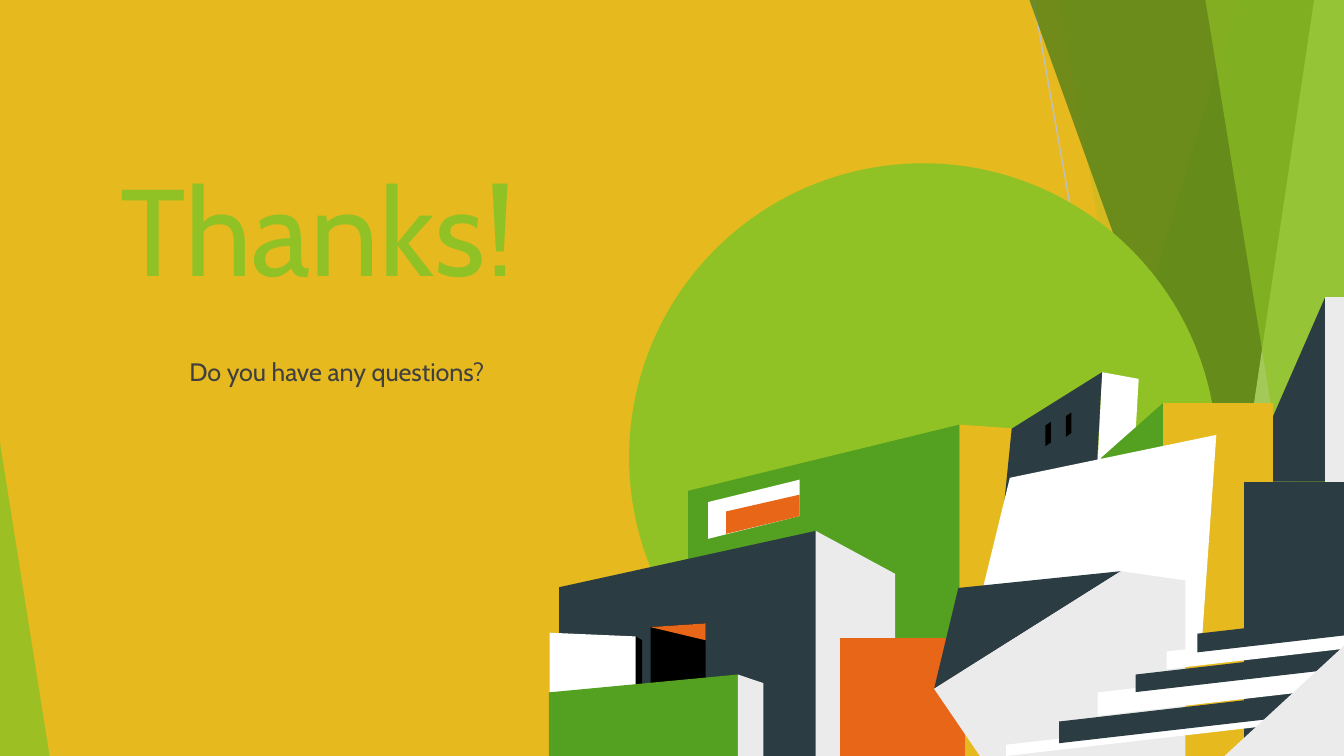
from dataclasses import dataclass

import pptx
import pptx.dml.color
import pptx.enum.shapes
import pptx.enum.text
import pptx.oxml.ns
import pptx.util
from lxml import etree

Pt = pptx.util.Pt
RGBColor = pptx.dml.color.RGBColor
qn = pptx.oxml.ns.qn

WIDTH, HEIGHT = 720, 405
FONT = "Cabin"
GOLD = RGBColor.from_string("E6B91E")
LIME = RGBColor.from_string("90C226")
PALE_LIME = RGBColor.from_string("C0E474")
GREEN = RGBColor.from_string("54A021")
FOREST = RGBColor.from_string("3F7819")
SLATE = RGBColor.from_string("2C3C43")
ORANGE = RGBColor.from_string("E76618")
WHITE = RGBColor.from_string("FFFFFF")
LIGHT_GREY = RGBColor.from_string("EBEBEB")
RAY_GREY = RGBColor.from_string("BFBFBF")
RAY_PALE = RGBColor.from_string("D9D9D9")
BLACK = RGBColor.from_string("000000")
INK = RGBColor.from_string("404040")
STEP_SLOPE = 0.115


@dataclass(frozen=True)
class Beam:
    """Band from the top edge to the bottom edge, closed by the right edge."""
    color: RGBColor
    opacity: int
    top_x: float
    bottom_x: float


@dataclass(frozen=True)
class Wedge:
    """Right-angled triangle that stands on the bottom edge."""
    color: RGBColor
    opacity: int
    left: float
    right: float
    top: float
    apex: int


@dataclass(frozen=True)
class Wall:
    """Face with upright sides; it reaches the bottom edge by default."""
    color: RGBColor
    left: float
    right: float
    top_left: float
    top_right: float
    bottom_left: float = HEIGHT
    bottom_right: float = HEIGHT

    @property
    def corners(self) -> tuple:
        return ((self.left, self.top_left), (self.right, self.top_right),
                (self.right, self.bottom_right), (self.left, self.bottom_left))


@dataclass(frozen=True)
class Facet:
    """Face with leaning sides."""
    color: RGBColor
    corners: tuple


@dataclass(frozen=True)
class Step:
    color: RGBColor
    left: float
    top: float
    height: float


BACKDROP = [
    Beam(LIME, 30, 663, 542),
    Beam(LIME, 20, 567.4, 638.6),
    Wedge(GREEN, 72, 528, WIDTH, 180, 1),
    Beam(FOREST, 70, 551.5, 697),
    Beam(PALE_LIME, 70, 704, 643.7),
    Beam(LIME, 65, 645.8, 711.4),
    Wedge(LIME, 80, 612.7, WIDTH, 211.7, 1),
    Wedge(LIME, 85, 0, 26.6, 237, 0),
]

CITY = [
    # Green block with its gold side
    Wall(GOLD, 514, 563, 227.5, 231),
    Wall(GREEN, 368.6, 514, 263, 227.5),
    # Slate block, its doorway and the low front blocks
    Wall(SLATE, 299.5, 437, 314.6, 284.4),
    Wall(LIGHT_GREY, 437, 479.5, 284.4, 307.4),
    Wall(BLACK, 348.5, 378, 336, 334),
    Wall(WHITE, 294.5, 340.6, 339, 341),
    Wall(ORANGE, 348.5, 378, 336, 334, 336, 343),
    Wall(BLACK, 340.6, 344, 341, 343),
    Wall(GREEN, 294, 395.3, 371, 361.4),
    Wall(LIGHT_GREY, 395.3, 409, 361.4, 366),
    Wall(ORANGE, 450, 517, 342, 342),
    # Window of the green block
    Wall(WHITE, 379.4, 428.4, 269, 257, 288.7, 276.5),
    Wall(ORANGE, 389, 428.4, 274, 265, 286, 276.5),
    # Slate tower and the tall blocks on the right
    Facet(WHITE, ((590.4, 199.4), (610, 203), (605, 289), (586, 289))),
    Facet(SLATE, ((590.4, 199.4), (585.4, 289), (536, 289), (542, 229.7))),
    Wall(SLATE, 666.7, 710, 258, 159, 258, 258),
    Wall(LIGHT_GREY, 710, WIDTH, 159, 159, 258, 258),
    Wall(GOLD, 623, 681.8, 216, 216),
    Wall(GREEN, 589.7, 623, 245.5, 216, 245.5, 269),
    Wall(SLATE, 666.7, WIDTH, 258, 258),
    # White leaning block and the grey front block
    Facet(WHITE, ((651.6, 233), (643, 356), (513.4, 369), (541, 256))),
    Facet(SLATE, ((600.5, 306), (500.4, 369), (513.4, 315))),
    Facet(LIGHT_GREY, ((600.5, 306), (635, 311), (635, HEIGHT),
                       (525, HEIGHT), (500.4, 369))),
]

STEPS = [
    Step(WHITE, 539, 399, 6),
    Step(SLATE, 567.4, 386.6, 11.6),
    Step(WHITE, 588, 371, 12.5),
    Step(SLATE, 608.4, 361.4, 9.4),
    Step(WHITE, 625, 349, 9.5),
    Step(SLATE, 641.5, 339.5, 10),
]
RAMP = Wall(LIGHT_GREY, 656, WIDTH, HEIGHT, 346)
SLITS = [Wall(BLACK, x, x + 3, y, y - 2, y + 11, y + 9)
         for x, y in ((571, 223), (560, 228))]


def paint(shape, color: RGBColor, opacity: int = 100) -> None:
    shape.shadow.inherit = False
    shape.fill.solid()
    shape.fill.fore_color.rgb = color
    shape.line.fill.background()
    if opacity < 100:
        tint = shape._element.spPr.find(qn("a:solidFill"))[0]
        etree.SubElement(tint, qn("a:alpha")).set("val", str(opacity * 1000))


def draw_polygon(slide, corners: tuple, color: RGBColor, opacity: int = 100) -> None:
    start, *others = [(Pt(x), Pt(y)) for x, y in corners]
    builder = slide.shapes.build_freeform(*start)
    builder.add_line_segments(others, close=True)
    paint(builder.convert_to_shape(), color, opacity)


def draw_beam(slide, beam: Beam) -> None:
    corners = ((beam.top_x, 0), (WIDTH, 0), (WIDTH, HEIGHT), (beam.bottom_x, HEIGHT))
    draw_polygon(slide, corners, beam.color, beam.opacity)


def draw_wedge(slide, wedge: Wedge) -> None:
    triangle = slide.shapes.add_shape(
        pptx.enum.shapes.MSO_SHAPE.ISOSCELES_TRIANGLE, Pt(wedge.left), Pt(wedge.top),
        Pt(wedge.right - wedge.left), Pt(HEIGHT - wedge.top))
    triangle.adjustments[0] = wedge.apex
    paint(triangle, wedge.color, wedge.opacity)


def step_face(step: Step) -> Wall:
    rise = STEP_SLOPE * (WIDTH - step.left)
    bottom = step.top + step.height
    return Wall(step.color, step.left, WIDTH, step.top, step.top - rise,
                bottom, bottom - rise)


def draw_ray(slide, start: tuple, end: tuple, color: RGBColor) -> None:
    ray = slide.shapes.add_connector(
        pptx.enum.shapes.MSO_CONNECTOR.STRAIGHT, *map(Pt, start + end))
    ray.line.color.rgb = color
    ray.line.width = Pt(0.75)
    etree.SubElement(ray._element.spPr, qn("a:effectLst"))


def add_text(slide, text: str, *, left: float, top: float, width: float,
             height: float, size: float, color: RGBColor) -> None:
    frame = slide.shapes.add_textbox(Pt(left), Pt(top), Pt(width), Pt(height)).text_frame
    frame.word_wrap = True
    frame.vertical_anchor = pptx.enum.text.MSO_ANCHOR.TOP
    frame.margin_left = frame.margin_right = Pt(7.2)
    frame.margin_top = frame.margin_bottom = Pt(7.2)
    run = frame.paragraphs[0].add_run()
    run.text = text
    run.font.name = FONT
    run.font.size = Pt(size)
    run.font.color.rgb = color


def main() -> None:
    deck = pptx.Presentation()
    deck.slide_width, deck.slide_height = Pt(WIDTH), Pt(HEIGHT)
    slide = deck.slides.add_slide(deck.slide_layouts[6])
    slide.background.fill.solid()
    slide.background.fill.fore_color.rgb = GOLD

    # Rays and translucent bands
    draw_ray(slide, (553.7, 0), (625.7, HEIGHT), RAY_GREY)
    draw_ray(slide, (WIDTH, 217.4), (438.5, HEIGHT), RAY_PALE)
    for part in BACKDROP:
        if isinstance(part, Beam):
            draw_beam(slide, part)
        else:
            draw_wedge(slide, part)

    # Wording
    add_text(slide, "Thanks!", left=57.3, top=74.8, width=260, height=95,
             size=66, color=LIME)
    add_text(slide, "Do you have any questions?", left=94.3, top=183.6,
             width=223, height=44.6, size=13.5, color=INK)

    # Sun and city
    sun = slide.shapes.add_shape(
        pptx.enum.shapes.MSO_SHAPE.OVAL, Pt(337), Pt(87.5), Pt(315), Pt(315))
    paint(sun, LIME)
    for face in [*CITY, *map(step_face, STEPS), RAMP, *SLITS]:
        draw_polygon(slide, face.corners, face.color)

    deck.save("out.pptx")


if __name__ == "__main__":
    main()
